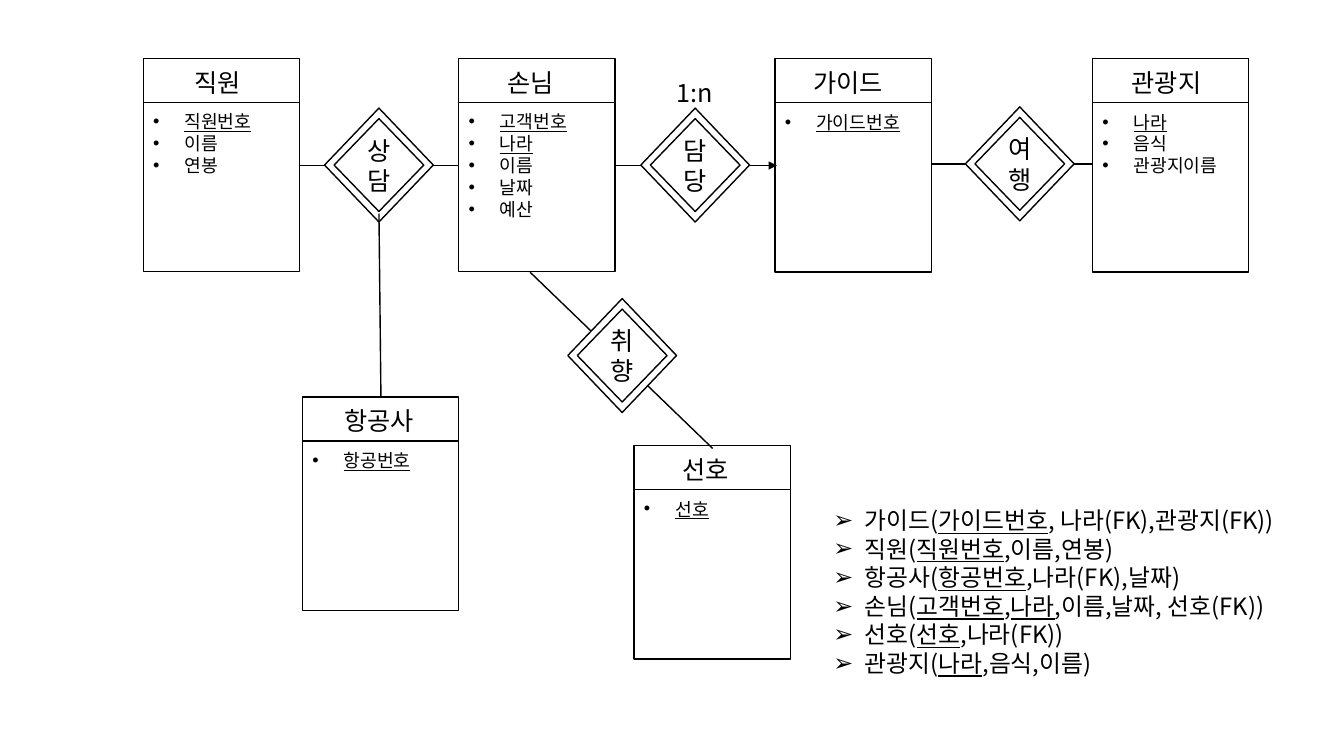
import pptx
import pptx.dml.color
import pptx.enum.shapes
import pptx.enum.text
import pptx.oxml
import pptx.oxml.ns
import pptx.util

Cm = pptx.util.Cm
Pt = pptx.util.Pt
SHAPE = pptx.enum.shapes.MSO_SHAPE
ALIGN = pptx.enum.text.PP_ALIGN
COLOURS = {"ink": "000000", "paper": "FFFFFF"}
FONT = "Noto Sans CJK KR"
ENTITY_SIZE = (3.94, 5.38)
HEADER_HEIGHT = 1.11
OUTER_SIZE = (2.74, 2.87)
INNER_SIZE = (2.26, 2.34)

# left, top, title indent, title, attributes (keys between underscores)
ENTITIES = [
    (3.61, 1.47, 1.04, "직원", ["_직원번호_", "이름", "연봉"]),
    (19.53, 1.48, 0.71, "가이드", ["_가이드번호_"]),
    (11.56, 1.47, 0.97, "손님", ["_고객번호_", "_나라_", "이름", "날짜", "예산"]),
    (27.53, 1.48, 0.74, "관광지", ["_나라_", "음식", "관광지이름"]),
    (7.62, 10.0, 0.81, "항공사", ["_항공번호_"]),
    (15.98, 11.23, 0.97, "선호", ["_선호_"]),
]
LINKS = [
    (7.54, 4.17, 11.56, 4.17),
    (15.49, 4.17, 19.53, 4.17),
    (23.47, 4.13, 27.53, 4.13),
    (13.36, 6.86, 17.96, 11.3),
]
RELATIONS = [
    (9.55, 4.16, ["상담"]),
    (17.52, 4.16, ["담", "당"]),
    (25.7, 4.13, ["여행"]),
    (15.68, 8.96, ["취향"]),
]
SCHEMAS = [
    "가이드(_가이드번호_, 나라(FK),관광지(FK))",
    "직원(_직원번호_,이름,연봉)",
    "항공사(_항공번호_,나라(FK),날짜)",
    "손님(_고객번호_,_나라_,이름,날짜, 선호(FK))",
    "선호(_선호_,나라(FK))",
    "관광지(_나라_,음식,이름)",
]


def colour(name):
    """Return the named colour."""
    return pptx.dml.color.RGBColor.from_string(COLOURS[name])


def write(frame, lines, size, bullet=None, alignment=ALIGN.LEFT):
    """Fill a text frame, underlining what stands between underscores."""
    frame.word_wrap = True
    for index, line in enumerate(lines):
        paragraph = frame.add_paragraph() if index else frame.paragraphs[0]
        paragraph.alignment = alignment
        if bullet:
            properties = paragraph._p.get_or_add_pPr()
            properties.set("marL", str(Cm(0.79)))
            properties.set("indent", str(-Cm(0.79)))
            for tag, key, value in (("buFont", "typeface", "Arial"), ("buChar", "char", bullet)):
                pptx.oxml.ns.qn("a:" + tag)
                properties.append(pptx.oxml.parse_xml(
                    f'<a:{tag} {pptx.oxml.ns.nsdecls("a")} {key}="{value}"/>'))
        for part, text in enumerate(line.split("_")):
            if not text:
                continue
            run = paragraph.add_run()
            run.text = text
            run.font.color.rgb = colour("ink")
            formats = {"size": Pt(size), "name": FONT, "underline": part % 2 == 1}
            for attribute, value in formats.items():
                setattr(run.font, attribute, value)
            run._r.get_or_add_rPr().append(pptx.oxml.parse_xml(
                f'<a:ea {pptx.oxml.ns.nsdecls("a")} typeface="{FONT}"/>'))


def add_text(slide, box, lines, size, bullet=None):
    """Add a text box."""
    shape = slide.shapes.add_textbox(*map(Cm, box))
    write(shape.text_frame, lines, size, bullet)


def add_outline(slide, kind, box):
    """Add a white shape with a thin black outline."""
    shape = slide.shapes.add_shape(kind, *map(Cm, box))
    shape.shadow.inherit = False
    shape.fill.solid()
    shape.fill.fore_color.rgb = colour("paper")
    shape.line.color.rgb = colour("ink")
    shape.line.width = Pt(1)
    return shape


def add_line(slide, ends, arrow=False):
    """Add a straight line, with an arrowhead at its end if asked."""
    line = slide.shapes.add_connector(
        pptx.enum.shapes.MSO_CONNECTOR.STRAIGHT, *map(Cm, ends))
    line.line.color.rgb = colour("ink")
    line.line.width = Pt(1)
    namespace = pptx.oxml.ns.nsdecls("a")
    if arrow:
        line.line._get_or_add_ln().append(
            pptx.oxml.parse_xml(f'<a:tailEnd {namespace} type="triangle"/>'))
    line._element.spPr.append(pptx.oxml.parse_xml(f"<a:effectLst {namespace}/>"))


def add_entity(slide, left, top, title_indent, title, attributes):
    """Add an entity box with its title and attribute list."""
    width, height = ENTITY_SIZE
    divider = top + HEADER_HEIGHT
    add_outline(slide, SHAPE.RECTANGLE, (left, top, width, height))
    add_line(slide, (left, divider, left + width, divider))
    add_text(slide, (left + title_indent, top + 0.09, 3.05, 1.02), [title], 18)
    add_text(slide, (left, top + 1.19, 3.61, 2.7), attributes, 13, "•")


def add_relation(slide, centre_x, centre_y, lines):
    """Add a double diamond around a centre."""
    for width, height in (OUTER_SIZE, INNER_SIZE):
        box = (centre_x - width / 2, centre_y - height / 2, width, height)
        diamond = add_outline(slide, SHAPE.DIAMOND, box)
    diamond.text_frame.vertical_anchor = pptx.enum.text.MSO_ANCHOR.MIDDLE
    write(diamond.text_frame, lines, 18, alignment=ALIGN.CENTER)


def add_diagram(slide):
    """Add the entities, their links and their relations."""
    for entity in ENTITIES:
        add_entity(slide, *entity)
    for link in LINKS:
        add_line(slide, link)
    for relation in RELATIONS:
        add_relation(slide, *relation)
    add_line(slide, (9.55, 5.38, 9.6, 10.0))
    add_line(slide, (18.9, 4.17, 19.58, 4.17), arrow=True)
    add_text(slide, (16.81, 1.83, 2.26, 1.02), ["1:n"], 18)


def main():
    """Build and save the presentation."""
    presentation = pptx.Presentation()
    for attribute, value in {"slide_width": 33.87, "slide_height": 19.05}.items():
        setattr(presentation, attribute, Cm(value))
    slide = presentation.slides.add_slide(presentation.slide_layouts[6])
    add_diagram(slide)
    add_text(slide, (20.75, 12.62, 12.62, 4.62), SCHEMAS, 17, "➢")
    presentation.save("out.pptx")


main()
